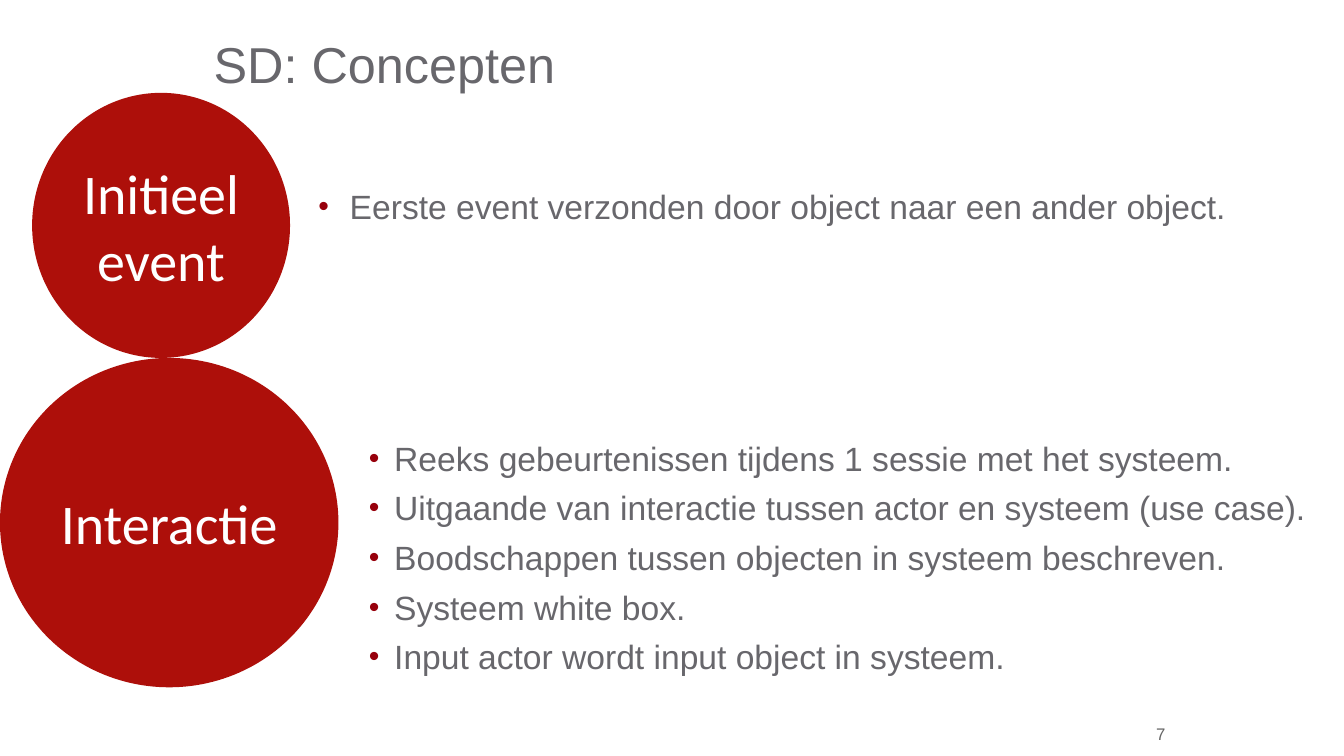
from dataclasses import dataclass

from lxml import etree
from pptx import Presentation
from pptx.dml.color import RGBColor
from pptx.enum import shapes, text
from pptx.oxml import ns
from pptx.util import Cm, Pt


@dataclass(frozen=True)
class Theme:
    ink: str = "68676C"
    red: str = "AD0F0A"
    dot: str = "97000C"
    white: str = "FFFFFF"
    gray: str = "666666"
    sans: str = "Arial"
    round: str = "Calibri"
    title: int = 36
    disc: int = 40
    body: int = 24
    small: int = 12


class Deck:
    def __init__(self, theme):
        self.theme = theme
        self.file = Presentation()
        self.file.slide_width, self.file.slide_height = Cm(33.87), Cm(19.05)
        self.slide = self.file.slides.add_slide(self.file.slide_layouts[1])

    def place(self, shape, box):
        shape.left, shape.top, shape.width, shape.height = map(Cm, box)

    def style(self, par, size, color, face=None, align=text.PP_ALIGN.LEFT):
        par.alignment = align
        for run in par.runs:
            run.font.size = Pt(size)
            run.font.name = face or self.theme.sans
            run.font.color.rgb = RGBColor.from_string(color)

    def frame(self, shape, anchor):
        frame = shape.text_frame
        frame.word_wrap = True
        frame.auto_size = text.MSO_AUTO_SIZE.NONE
        frame.vertical_anchor = anchor
        return frame

    def title(self, words, box):
        shape = self.slide.shapes.title
        self.place(shape, box)
        frame = self.frame(shape, text.MSO_ANCHOR.MIDDLE)
        frame.text = words
        self.style(frame.paragraphs[0], self.theme.title, self.theme.ink)

    def bullet(self, par, left, hang):
        props = par._p.get_or_add_pPr()
        props.set("marL", str(Cm(left)))
        props.set("indent", str(-Cm(hang)))
        color = etree.SubElement(props, ns.qn("a:buClr"))
        etree.SubElement(color, ns.qn("a:srgbClr"), val=self.theme.dot)
        etree.SubElement(props, ns.qn("a:buSzPct"), val="90000")
        etree.SubElement(props, ns.qn("a:buFont"), typeface=self.theme.sans)
        etree.SubElement(props, ns.qn("a:buChar"), char="•")

    def list(self, groups, box, inset, gap, step):
        """Fill the body with (level, left, hang, lines) groups, a gap between them."""
        shape = self.slide.placeholders[1]
        self.place(shape, box)
        frame = self.frame(shape, text.MSO_ANCHOR.TOP)
        frame.margin_top = Cm(inset)
        frame.text = "\n".join(line for group in groups for line in group[3])
        pars = iter(frame.paragraphs)
        for order, (level, left, hang, lines) in enumerate(groups):
            for row in range(len(lines)):
                par = next(pars)
                par.level = level
                self.bullet(par, left, hang)
                par.line_spacing = 1.0
                par.space_before = Pt(step if row else gap if order else 0)
                self.style(par, self.theme.body, self.theme.ink)

    def disc(self, words, box):
        shape = self.slide.shapes.add_shape(
            shapes.MSO_SHAPE.OVAL, *map(Cm, box))
        shape.shadow.inherit = False
        shape.fill.solid()
        shape.fill.fore_color.rgb = RGBColor.from_string(self.theme.red)
        shape.line.fill.background()
        frame = self.frame(shape, text.MSO_ANCHOR.MIDDLE)
        frame.text = words
        self.style(frame.paragraphs[0], self.theme.disc, self.theme.white,
                   self.theme.round, text.PP_ALIGN.CENTER)

    def number(self, words, box):
        shape = self.slide.shapes.add_textbox(*map(Cm, box))
        frame = self.frame(shape, text.MSO_ANCHOR.MIDDLE)
        frame.text = words
        self.style(frame.paragraphs[0], self.theme.small, self.theme.gray,
                   align=text.PP_ALIGN.RIGHT)


def main():
    deck = Deck(Theme())
    event = ["Eerste event verzonden door object naar een ander object."]
    session = [
        "Reeks gebeurtenissen tijdens 1 sessie met het systeem.",
        "Uitgaande van interactie tussen actor en systeem (use case).",
        "Boodschappen tussen objecten in systeem beschreven.",
        "Systeem white box.",
        "Input actor wordt input object in systeem.",
    ]
    deck.list([(1, 2.06, 0.79, event), (2, 3.18, 0.64, session)],
              (6.5, 1.73, 27.28, 13.2), inset=2.95, gap=151, step=6.7)
    deck.number("7", (23.7, 17.98, 5.92, 1.02))
    deck.title("SD: Concepten", (5.13, 0, 24.2, 3.18))
    deck.disc("Initieel event", (0.81, 2.34, 6.5, 6.68))
    deck.disc("Interactie", (0, 9.02, 8.53, 8.3))
    deck.file.save("out.pptx")


if __name__ == "__main__":
    main()
